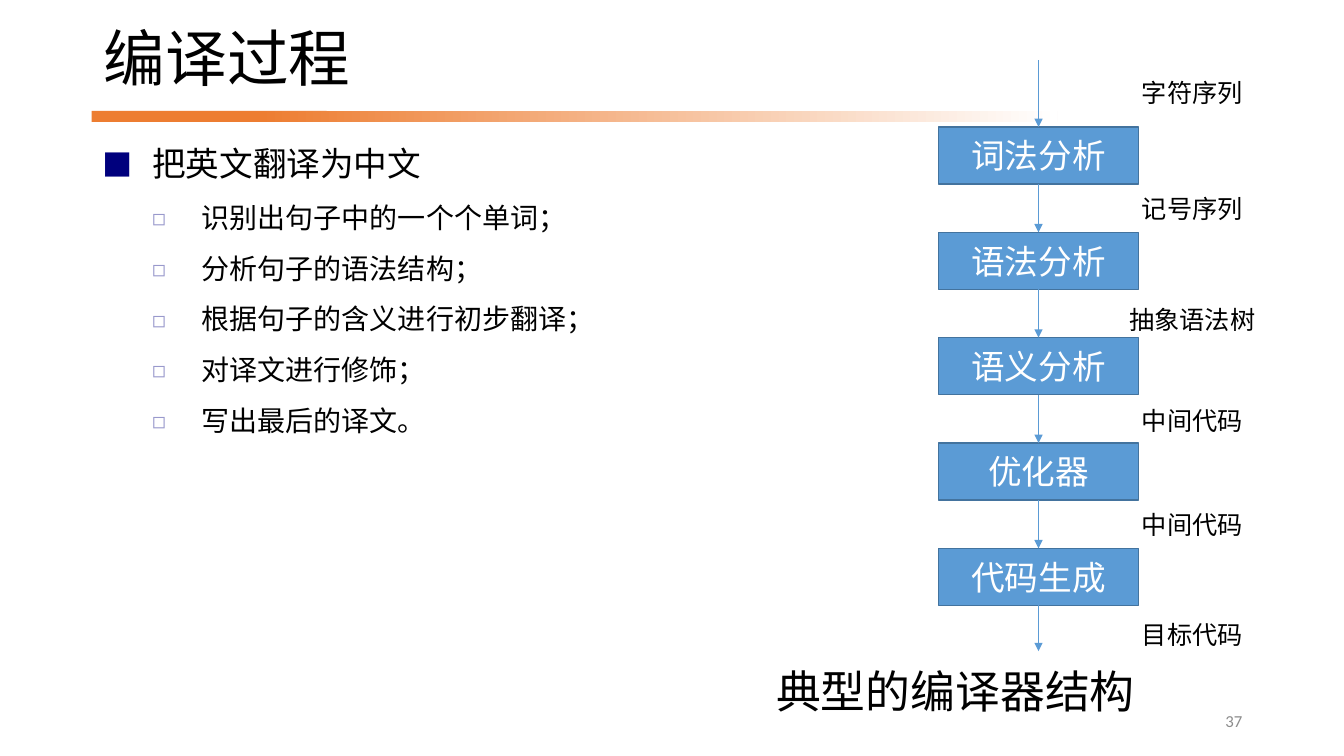
from lxml import etree
from pptx import Presentation
from pptx.dml.color import RGBColor
from pptx.enum.shapes import MSO_CONNECTOR, MSO_SHAPE
from pptx.enum.text import MSO_ANCHOR, MSO_AUTO_SIZE, PP_ALIGN
from pptx.oxml.ns import qn
from pptx.util import Inches, Pt

RECT, STRAIGHT = MSO_SHAPE.RECTANGLE, MSO_CONNECTOR.STRAIGHT
LEFT, CENTER, RIGHT, JUSTIFY = PP_ALIGN.LEFT, PP_ALIGN.CENTER, PP_ALIGN.RIGHT, PP_ALIGN.JUSTIFY
TOP, MIDDLE = MSO_ANCHOR.TOP, MSO_ANCHOR.MIDDLE
CJK = "Noto Sans CJK SC"

TITLE = "编译过程"
CAPTION = "典型的编译器结构"
PAGE = "37"
BODY = [
    (0, "把英文翻译为中文"),
    (1, "识别出句子中的一个个单词；"),
    (1, "分析句子的语法结构；"),
    (1, "根据句子的含义进行初步翻译；"),
    (1, "对译文进行修饰；"),
    (1, "写出最后的译文。"),
]
LEVELS = [
    dict(size=24, spacing=0.9, before=0, bullet="■", color="00007D", percent=90),
    dict(size=20, spacing=1.3, before=5, bullet="◻", color="9999CC", percent=80),
]
STAGES = ["词法分析", "语法分析", "语义分析", "优化器", "代码生成"]
FLOWS = [("字符序列", 0.72), ("记号序列", 1.87), ("抽象语法树", 2.97),
         ("中间代码", 3.97), ("中间代码", 5), ("目标代码", 6.09)]

INDENT = 0.49
STAGE_X, STAGE_Y, STAGE_W, STAGE_H, PITCH = 9.31, 1.26, 1.98, 0.565, 1.045
FLOW_START, FLOW_END = 0.6, 6.46


def rgb(color):
    return RGBColor.from_string(color)


def place(sp, *box):
    sp.left, sp.top, sp.width, sp.height = (Inches(v) for v in box)


def write(p, text, size, font, color="000000"):
    r = p.add_run()
    r.text = text
    for name, value in dict(size=Pt(size), name=font, bold=False).items():
        setattr(r.font, name, value)
    r.font.color.rgb = rgb(color)
    etree.SubElement(r.font._element, qn("a:ea"), typeface=CJK)


def frame(sp, anchor):
    tf = sp.text_frame
    for name, value in dict(word_wrap=True, auto_size=MSO_AUTO_SIZE.NONE,
                            vertical_anchor=anchor).items():
        setattr(tf, name, value)
    return tf


def label(sp, text, size, font, color="000000", align=CENTER, anchor=TOP):
    p = frame(sp, anchor).paragraphs[0]
    p.alignment = align
    write(p, text, size, font, color)
    return p


def text_box(s, box, *args, **kwargs):
    label(s.shapes.add_textbox(*(Inches(v) for v in box)), *args, **kwargs)


def rect(s, *box):
    sp = s.shapes.add_shape(RECT, *(Inches(v) for v in box))
    sp.shadow.inherit = False
    return sp


def solid(sp, color):
    sp.fill.solid()
    sp.fill.fore_color.rgb = rgb(color)


def set_bullet(p, level, style):
    pPr = p._p.get_or_add_pPr()
    pPr.set("marL", str(Inches(INDENT * (level + 1))))
    pPr.set("indent", str(-Inches(INDENT)))
    clr = etree.SubElement(pPr, qn("a:buClr"))
    etree.SubElement(clr, qn("a:srgbClr"), val=style["color"])
    etree.SubElement(pPr, qn("a:buSzPct"), val=str(style["percent"] * 1000))
    etree.SubElement(pPr, qn("a:buFont"), typeface=CJK)
    etree.SubElement(pPr, qn("a:buChar"), char=style["bullet"])


def arrow(s, x, y1, y2):
    line = s.shapes.add_connector(STRAIGHT, *(Inches(v) for v in (x, y1, x, y2)))
    line.line.color.rgb = rgb("5B9BD5")
    line.line.width = Pt(0.5)
    ln = line.line._get_or_add_ln()
    etree.SubElement(ln, qn("a:tailEnd"), type="triangle")
    etree.SubElement(line._element.spPr, qn("a:effectLst"))


def add_bands(s):
    base = rect(s, 0.91, 1.1, 2.33, 0.11)
    solid(base, "ED7D31")
    fade = rect(s, 2.57, 1.1, 7.92, 0.11)
    fade.fill.gradient()
    fade.fill.gradient_angle = 0
    for stop, color, position in zip(fade.fill.gradient_stops, ("ED7D31", "FFFFFF"), (0, 1)):
        stop.color.rgb = rgb(color)
        stop.position = position
    for band in (base, fade):
        band.line.fill.background()


def add_body(sp):
    place(sp, 0.92, 1.41, 5.75, 5.37)
    tf = frame(sp, TOP)
    for i, (level, text) in enumerate(BODY):
        style = LEVELS[level]
        p = tf.add_paragraph() if i else tf.paragraphs[0]
        set_bullet(p, level, style)
        for name, value in dict(level=level, alignment=JUSTIFY, line_spacing=style["spacing"],
                                space_before=Pt(style["before"])).items():
            setattr(p, name, value)
        write(p, text, style["size"], "Arial")


def add_pipeline(s):
    tops = [STAGE_Y + i * PITCH for i in range(len(STAGES))]
    for text, y in zip(STAGES, tops):
        sp = rect(s, STAGE_X, y, STAGE_W, STAGE_H)
        solid(sp, "5B9BD5")
        sp.line.color.rgb = rgb("43739E")
        sp.line.width = Pt(1)
        label(sp, text, 24, "Calibri", "FFFFFF", anchor=MIDDLE)
    starts = [FLOW_START] + [y + STAGE_H for y in tops]
    for y1, y2 in zip(starts, tops + [FLOW_END]):
        arrow(s, STAGE_X + STAGE_W / 2, y1, y2)
    for text, y in FLOWS:
        text_box(s, (11, y, 1.65, 0.4), text, 18, "Calibri")


def main():
    prs = Presentation()
    prs.slide_width, prs.slide_height = Inches(13.33), Inches(7.5)
    s = prs.slides.add_slide(prs.slide_layouts[1])
    add_bands(s)
    title = s.shapes.title
    place(title, 0.93, 0.17, 11.14, 0.89)
    label(title, TITLE, 44, "Arial", align=LEFT, anchor=MIDDLE).line_spacing = 0.9
    add_body(s.placeholders[1])
    add_pipeline(s)
    text_box(s, (7.6, 6.54, 3.97, 0.64), CAPTION, 32, CJK, align=LEFT)
    text_box(s, (9.42, 6.95, 3, 0.4), PAGE, 12, "Calibri", "8C8C8C", align=RIGHT, anchor=MIDDLE)
    prs.save("out.pptx")


if __name__ == "__main__":
    main()
